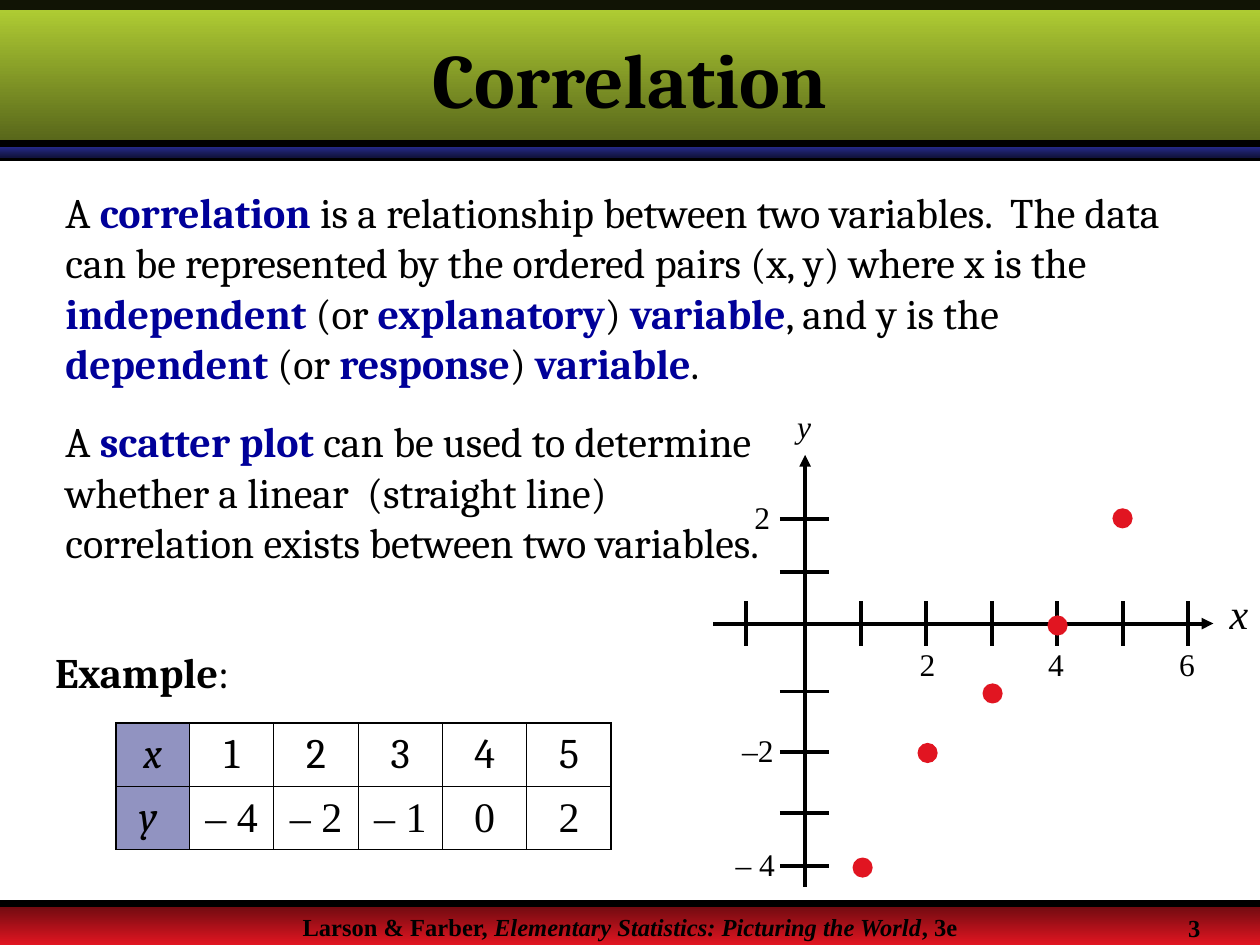
from lxml.etree import SubElement
from pptx import Presentation
from pptx.dml.color import RGBColor
from pptx.enum.shapes import MSO_CONNECTOR as Connector, MSO_SHAPE as Shape
from pptx.enum.text import MSO_ANCHOR as Anchor, PP_ALIGN as Align
from pptx.oxml import parse_xml
from pptx.oxml.ns import nsdecls, qn
from pptx.util import Cm, Pt

BLACK = RGBColor(0x00, 0x00, 0x00)
TERM_BLUE = RGBColor(0x00, 0x00, 0x99)
NAVY = RGBColor(0x24, 0x29, 0x85)
DARK_NAVY = RGBColor(0x11, 0x13, 0x3E)
RED = RGBColor(0xE1, 0x15, 0x21)
DARK_RED = RGBColor(0x68, 0x0A, 0x0F)
LIME = RGBColor(0xB5, 0xD3, 0x35)
OLIVE = RGBColor(0x54, 0x62, 0x19)
SERIF = "Times New Roman"
CAMBRIA = "Cambria"
WIDTH = 25.4

DEFINITION = [
    ("A ", ""), ("correlation ", "term"),
    ("is a relationship between two variables.  The data can be represented by "
     "the ordered pairs (x, y) where x is the", ""),
    (" independent ", "term"), ("(or", ""), (" explanatory", "term"), (")", ""),
    (" variable", "term"), (", and y is the", ""), (" dependent ", "term"),
    ("(or", ""), (" response", "term"), (")", ""), (" variable", "term"), (".", ""),
]
SCATTER_USE = [
    ("A ", ""), ("scatter plot ", "term"),
    ("can be used to determine whether a linear  (straight line) correlation "
     "exists between two variables.", ""),
]
CITATION = [
    ("Larson & Farber, ", "bold"),
    ("Elementary Statistics: Picturing the World", "bold italic"),
    (", 3e", "bold"),
]
DATA_ROWS = [["x", "1", "2", "3", "4", "5"], ["y ", "– 4", "– 2", "– 1", "0", "2"]]


def add_runs(paragraph, runs, size, font):
    """Add (text, style) runs; a style names term, bold or italic."""
    for text, style in runs:
        run = paragraph.add_run()
        run.text = text
        run.font.name = font
        run.font.size = Pt(size)
        run.font.bold = "bold" in style or "term" in style
        run.font.italic = "italic" in style
        run.font.color.rgb = TERM_BLUE if "term" in style else BLACK


def add_text(shapes, place, runs, size, font=SERIF, align=Align.LEFT):
    """Add a wrapping text box with one paragraph."""
    frame = shapes.add_textbox(*map(Cm, place)).text_frame
    frame.word_wrap = True
    frame.paragraphs[0].alignment = align
    add_runs(frame.paragraphs[0], runs, size, font)


def add_line(shapes, start, end, width, arrow=False):
    """Add a black straight line, with an arrowhead at its end if asked."""
    line = shapes.add_connector(Connector.STRAIGHT, *map(Cm, (*start, *end)))
    line.line.width = Pt(width)
    line.line.color.rgb = BLACK
    properties = line.element.find(qn("p:spPr"))
    if arrow:
        SubElement(properties.find(qn("a:ln")), qn("a:tailEnd"), type="triangle")
    SubElement(properties, qn("a:effectLst"))


def make_translucent(element, percent):
    """Set the opacity of the first solid colour inside an element."""
    colour = next(element.iter(qn("a:srgbClr")))
    SubElement(colour, qn("a:alpha"), val=str(percent * 1000))


def add_band(shapes, top, height, *colours):
    """Add a full-width band, solid or shaded from top to bottom."""
    band = shapes.add_shape(Shape.RECTANGLE, 0, Cm(top), Cm(WIDTH), Cm(height))
    band.shadow.inherit = False
    band.line.fill.background()
    if len(colours) == 1:
        band.fill.solid()
        band.fill.fore_color.rgb = colours[0]
    else:
        band.fill.gradient()
        band.fill.gradient_angle = 270
        for stop, colour in zip(band.fill.gradient_stops, colours):
            stop.color.rgb = colour
    return band


def add_frame(shapes):
    """Add the header and footer bands with their rules and texts."""
    add_band(shapes, 18.21, 0.84, DARK_RED, RED)
    add_line(shapes, (0, 3.18), (WIDTH, 3.18), 4)
    add_text(shapes, (0, 18.26, WIDTH, 0.51), CITATION, 14, align=Align.CENTER)
    add_band(shapes, 2.97, 0.2, NAVY, DARK_NAVY)
    add_band(shapes, 0, 2.97, LIME, OLIVE)
    add_line(shapes, (0, 18.21), (WIDTH, 18.21), 4)
    make_translucent(add_band(shapes, 0, 0.2, BLACK).element, 90)
    add_line(shapes, (0, 2.9), (WIDTH, 2.9), 4)
    add_text(shapes, (23.7, 18.29, 1.6, 0.75), [("3", "bold")], 14)


def set_title(title):
    """Place the title above the header band."""
    title.element.getparent().append(title.element)
    title.left, title.top, title.width, title.height = map(Cm, (0, 0.2, WIDTH, 2.74))
    title.text_frame.vertical_anchor = Anchor.MIDDLE
    title.text_frame.paragraphs[0].alignment = Align.CENTER
    add_runs(title.text_frame.paragraphs[0], [("Correlation", "bold")], 44, CAMBRIA)


def add_axes(shapes):
    """Add both axes with their ticks and labels."""
    add_line(shapes, (14.38, 12.57), (24.46, 12.57), 2.25, arrow=True)
    add_line(shapes, (16.23, 17.88), (16.23, 9.17), 2.25, arrow=True)
    for x in [15.04] + [17.35 + 1.32 * step for step in range(6)]:
        add_line(shapes, (x, 12.12), (x, 13.03), 2.25)
    for y in (10.46, 11.53, 13.94, 15.16, 16.38, 17.45):
        add_line(shapes, (15.72, y), (16.71, y), 2.25)
    tick_labels = [("2", 18.29, 12.88), ("4", 20.88, 12.88), ("6", 23.52, 12.88),
                   ("2", 14.96, 9.91), ("–2", 14.71, 14.61), ("– 4", 14.58, 16.92)]
    for label, left, top in tick_labels:
        add_text(shapes, (left, top, 1.52, 1.02), [(label, "")], 18)
    add_text(shapes, (24.54, 11.71, 1.5, 1.27), [("x", "italic")], 24)
    add_text(shapes, (15.82, 8.08, 1.75, 1.02), [("y", "italic")], 18)


def add_points(shapes):
    """Add the five data points from x = 1 to x = 5."""
    size = 0.38
    for step, y in enumerate((17.49, 15.18, 13.98, 12.61, 10.45)):
        x = 17.39 + 1.31 * step
        point = shapes.add_shape(
            Shape.OVAL, Cm(x - size / 2), Cm(y - size / 2), Cm(size), Cm(size))
        point.shadow.inherit = False
        point.fill.solid()
        point.fill.fore_color.rgb = RED
        point.line.color.rgb = RED
        point.line.width = Pt(0.75)


def set_borders(cell, outer_sides):
    """Draw black borders around a cell, heavier on the outer sides."""
    properties = cell._tc.get_or_add_tcPr()
    for position, side in enumerate("LRTB"):
        width = Pt(1.08 if side in outer_sides else 0.45)
        properties.insert(position, parse_xml(
            f'<a:ln{side} {nsdecls("a")} w="{width}"><a:solidFill>'
            f'<a:srgbClr val="{BLACK}"/></a:solidFill></a:ln{side}>'))


def add_data_table(shapes):
    """Add the table of x and y values."""
    table = shapes.add_table(2, 6, Cm(2.34), Cm(14.58), Cm(9.98), Cm(2.54)).table
    table.first_row = table.horz_banding = False
    for index, column in enumerate(table.columns):
        column.width = Cm(1.7 if index else 1.48)
    for row, values in enumerate(DATA_ROWS):
        for column, value in enumerate(values):
            cell = table.cell(row, column)
            cell.vertical_anchor = Anchor.MIDDLE
            paragraph = cell.text_frame.paragraphs[0]
            paragraph.alignment = Align.CENTER
            font = SERIF if row and column else CAMBRIA
            add_runs(paragraph, [(value, "" if column else "italic")], 24, font)
            if column:
                cell.fill.background()
            else:
                cell.fill.solid()
                cell.fill.fore_color.rgb = NAVY
                make_translucent(cell._tc.tcPr, 50)
            set_borders(cell, "TB"[row] + {0: "L", 5: "R"}.get(column, ""))


def main():
    """Build the correlation slide."""
    deck = Presentation()
    deck.slide_width, deck.slide_height = Cm(WIDTH), Cm(19.05)
    slide = deck.slides.add_slide(deck.slide_layouts[5])
    shapes = slide.shapes
    add_frame(shapes)
    set_title(shapes.title)
    add_text(shapes, (1.07, 3.63, 23.29, 4.34), DEFINITION, 24, CAMBRIA)
    add_text(shapes, (1.07, 8.26, 15.04, 2.34), SCATTER_USE, 24, CAMBRIA)
    add_axes(shapes.add_group_shape().shapes)
    add_points(shapes)
    add_data_table(shapes)
    add_text(shapes, (0.86, 12.9, 4.57, 1.27), [("Example", "bold"), (":", "")],
             24, CAMBRIA)
    deck.save("out.pptx")


if __name__ == "__main__":
    main()
